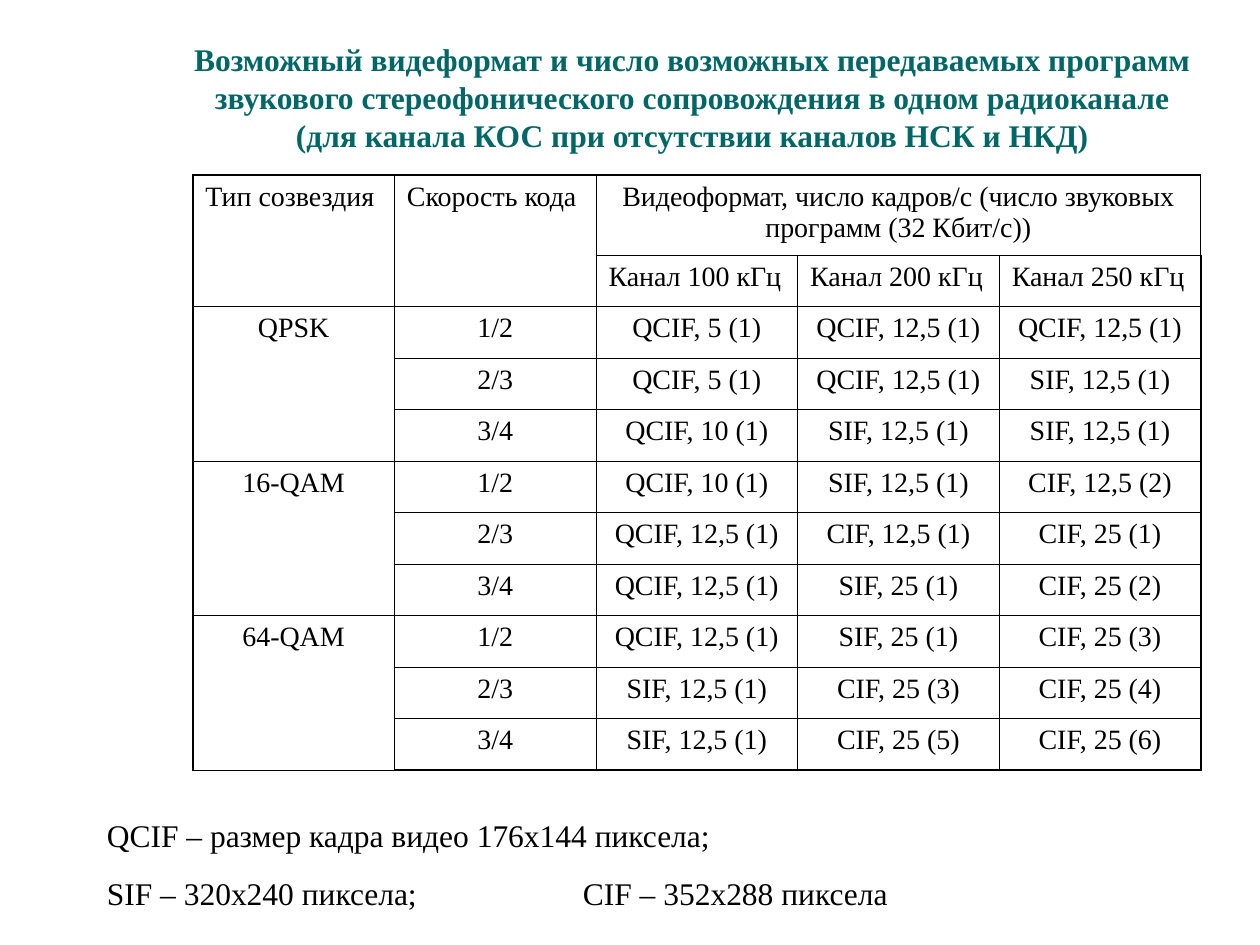
"""Build a slide with a table of video formats by channel width."""
from lxml.etree import SubElement
from pptx import Presentation
from pptx.dml.color import RGBColor
from pptx.enum.text import MSO_ANCHOR as Anchor, PP_ALIGN as Align
from pptx.oxml.ns import qn
from pptx.util import Pt


def hue(code):
    return RGBColor.from_string(code)


def write(para, text, size, color="000000", bold=False):
    run = para.add_run()
    run.text = text
    font = run.font
    font.name = "Times New Roman"
    font.size = Pt(size)
    font.bold = bold
    font.color.rgb = hue(color)


deck = Presentation()
deck.slide_width, deck.slide_height = Pt(720), Pt(540)
slide = deck.slides.add_slide(deck.slide_layouts[6])

title = slide.shapes.add_textbox(Pt(99.36), Pt(15.12), Pt(592.56), Pt(76.32)).text_frame
title.word_wrap = True
title.vertical_anchor = Anchor.BOTTOM
head = title.paragraphs[0]
head.alignment = Align.CENTER
write(head, "Возможный видеформат и число возможных передаваемых программ "
      "звукового стереофонического сопровождения в одном радиоканале "
      "(для канала КОС при отсутствии каналов НСК и НКД)", 18, "006666", True)

rows = [
    ["Тип созвездия", "Скорость кода",
     "Видеоформат, число кадров/с (число звуковых программ (32 Кбит/с))", "", ""],
    ["", "", "Канал 100 кГц", "Канал 200 кГц", "Канал 250 кГц"],
    ["QPSK", "1/2", "QCIF, 5 (1)", "QCIF, 12,5 (1)", "QCIF, 12,5 (1)"],
    ["", "2/3", "QCIF, 5 (1)", "QCIF, 12,5 (1)", "SIF, 12,5 (1)"],
    ["", "3/4", "QCIF, 10 (1)", "SIF, 12,5 (1)", "SIF, 12,5 (1)"],
    ["16-QAM", "1/2", "QCIF, 10 (1)", "SIF, 12,5 (1)", "CIF, 12,5 (2)"],
    ["", "2/3", "QCIF, 12,5 (1)", "CIF, 12,5 (1)", "CIF, 25 (1)"],
    ["", "3/4", "QCIF, 12,5 (1)", "SIF, 25 (1)", "CIF, 25 (2)"],
    ["64-QAM", "1/2", "QCIF, 12,5 (1)", "SIF, 25 (1)", "CIF, 25 (3)"],
    ["", "2/3", "SIF, 12,5 (1)", "CIF, 25 (3)", "CIF, 25 (4)"],
    ["", "3/4", "SIF, 12,5 (1)", "CIF, 25 (5)", "CIF, 25 (6)"],
]
last, end = len(rows) - 1, len(rows[0]) - 1
grid = slide.shapes.add_table(last + 1, end + 1, Pt(110.16), Pt(100.08),
                              Pt(576), Pt(339.86)).table
grid.first_row = grid.horz_banding = False
for col in grid.columns:
    col.width = Pt(115.2)
for r, row in enumerate(grid.rows):
    row.height = Pt(29.45 if r else 45.36)

for top, left, low, right in [(0, 0, 1, 0), (0, 1, 1, 1), (0, 2, 0, 4),
                              (2, 0, 4, 0), (5, 0, 7, 0), (8, 0, 10, 0)]:
    grid.cell(top, left).merge(grid.cell(low, right))

for r, row in enumerate(rows):
    for c, text in enumerate(row):
        cell = grid.cell(r, c)
        props = cell._tc.get_or_add_tcPr()
        edges = {"L": c == 0, "R": c == end, "T": r == 0, "B": r == last}
        for side, outer in edges.items():
            line = SubElement(props, qn(f"a:ln{side}"), w=str(Pt(1.08 if outer else 0.45)))
            fill = SubElement(line, qn("a:solidFill"))
            SubElement(fill, qn("a:srgbClr"), val="000000")
        cell.fill.background()
        if text:
            para = cell.text_frame.paragraphs[0]
            plain = r == 1 or (r == 0 and c < 2)
            para.alignment = Align.LEFT if plain else Align.CENTER
            write(para, text, 16)

notes = slide.shapes.add_textbox(Pt(54), Pt(462.96), Pt(652.32), Pt(61.92)).text_frame
notes.word_wrap = True
write(notes.paragraphs[0], "QCIF – размер кадра видео 176х144 пиксела;", 18)
para = notes.add_paragraph()
para.space_before = Pt(11.2)
tabs = SubElement(para._p.get_or_add_pPr(), qn("a:tabLst"))
SubElement(tabs, qn("a:tab"), pos=str(Pt(272)), algn="l")
write(para, "SIF – 320x240 пиксела;\tCIF – 352x288 пиксела", 18)

deck.save("out.pptx")
